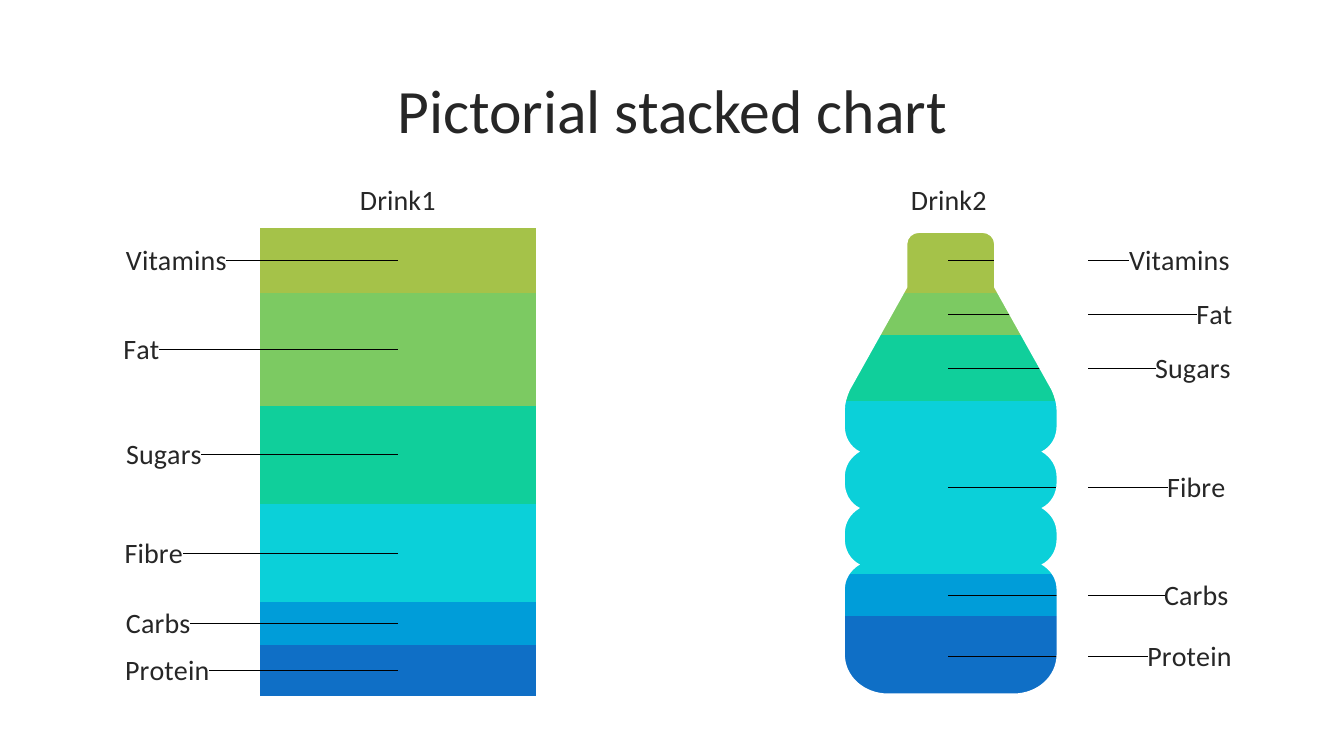
from dataclasses import dataclass

from pptx import Presentation
from pptx.chart.data import CategoryChartData
from pptx.dml.color import RGBColor
from pptx.enum.chart import XL_CHART_TYPE, XL_TICK_LABEL_POSITION, XL_TICK_MARK
from pptx.enum.text import MSO_ANCHOR, PP_ALIGN
from pptx.oxml import parse_xml
from pptx.oxml.ns import nsdecls, qn
from pptx.util import Inches, Pt


@dataclass(frozen=True)
class Theme:
    font: str = "Calibri"
    title_size: int = 44
    label_size: int = 20
    text: str = "262626"
    paper: str = "FFFFFF"
    cap: str = "094377"


theme = Theme()


def set_font(font, size):
    font.name = theme.font
    font.size = Pt(size)
    font.bold = False
    font.color.rgb = RGBColor.from_string(theme.text)


def write_text(tf, text, size=theme.label_size, align=PP_ALIGN.CENTER, spacing=1.0):
    tf.word_wrap = True
    tf.vertical_anchor = MSO_ANCHOR.MIDDLE
    p = tf.paragraphs[0]
    p.alignment = align
    p.line_spacing = spacing
    r = p.add_run()
    r.text = text
    set_font(r.font, size)


prs = Presentation()
prs.slide_width, prs.slide_height = Inches(13.33), Inches(7.5)
slide = prs.slides.add_slide(prs.slide_layouts[5])

# Title
title = slide.shapes.title
title.left, title.top = Inches(0.92), Inches(0.4)
title.width, title.height = Inches(11.5), Inches(1.45)
write_text(title.text_frame, "Pictorial stacked chart", size=theme.title_size, spacing=0.9)

# Nutrients from bottom to top: name, values, colour, sideways label shifts
nutrients = [
    ("Protein", (11, 17), "0F6FC6", (-0.204, 0.213)),
    ("Carbs", (9, 9), "009DD9", (-0.212, 0.219)),
    ("Fibre", (21, 37), "0BD0D9", (-0.216, 0.219)),
    ("Sugars", (21, 14), "10CF9B", (-0.207, 0.216)),
    ("Fat", (24, 9), "7CCA62", (-0.227, 0.235)),
    ("Vitamins", (14, 14), "A5C249", (-0.196, 0.204)),
    ("Series 7", (0, None), theme.cap, ()),
]

# Stacked chart
data = CategoryChartData()
data.categories = ["Drink1", "Drink2"]
for name, values, color, shifts in nutrients:
    data.add_series(name, values)
chart = slide.shapes.add_chart(
    XL_CHART_TYPE.COLUMN_STACKED_100,
    Inches(1.08), Inches(1.79), Inches(11.21), Inches(6.24), data,
).chart
chart.has_title = chart.has_legend = False
set_font(chart.font, theme.label_size)

plot = chart.plots[0]
plot.gap_width = plot.overlap = 100
plot.vary_by_categories = False

axis = chart.category_axis
axis.tick_label_position = XL_TICK_LABEL_POSITION.HIGH
axis.major_tick_mark = axis.minor_tick_mark = XL_TICK_MARK.NONE
axis.format.line.fill.background()
set_font(axis.tick_labels.font, theme.label_size)
chart.value_axis.visible = False
chart.value_axis.has_major_gridlines = False

# Series colours and labels beside the columns, without leader lines
for series, (name, values, color, shifts) in zip(plot.series, nutrients):
    series.format.fill.solid()
    series.format.fill.fore_color.rgb = RGBColor.from_string(color)
    if not shifts:
        series.format.line.color.rgb = RGBColor.from_string(color)
        series.format.line.width = Pt(0.75)
        continue
    labels = series.data_labels
    labels.show_series_name, labels.show_value = True, False
    set_font(labels.font, theme.label_size)
    for i in range(len(shifts)):
        set_font(series.points[i].data_label.font, theme.label_size)
    for label, shift in zip(series._element.xpath("c:dLbls/c:dLbl"), shifts):
        label.find(qn("c:showVal")).set("val", "0")
        label.find(qn("c:showSerName")).set("val", "1")
        label.insert(1, parse_xml(
            f'<c:layout {nsdecls("c")}><c:manualLayout>'
            f'<c:x val="{shift}"/><c:y val="0"/></c:manualLayout></c:layout>'))
    labels._element.append(parse_xml(
        f'<c:extLst {nsdecls("c")}><c:ext uri="{{CE6537A1-D6FC-4f65-9D91-7224C49458BB}}" '
        'xmlns:c15="http://schemas.microsoft.com/office/drawing/2012/chart">'
        '<c15:showLeaderLines val="0"/></c:ext></c:extLst>'))

# Plot area position
area = chart._chartSpace.chart.plotArea
for layout in area.findall(qn("c:layout")):
    area.remove(layout)
area.insert(0, parse_xml(
    f'<c:layout {nsdecls("c")}><c:manualLayout><c:layoutTarget val="inner"/>'
    '<c:xMode val="edge"/><c:yMode val="edge"/><c:x val="0.012"/><c:y val="0.075"/>'
    '<c:w val="0.975"/><c:h val="0.745"/></c:manualLayout></c:layout>'))

# Left side of the bottle: one point is a line, three points are a curve
center, wall, notch = 9.43, 8.38, 8.53
neck = (9.12, 2.31)
segments = [
    [(9.05, 2.31), (9, 2.36), (9, 2.42)],
    [(9, 2.85)],
    [(8.43, 3.87)],
    [(8.4, 3.94), (wall, 4), (wall, 4.07)],
    [(wall, 4.23)],
]
for y in (4.48, 5.04, 5.6):
    segments += [
        [(wall, y - 0.15), (8.43, y - 0.05), (notch, y)],
        [(8.43, y + 0.06), (wall, y + 0.15), (wall, y + 0.25)],
        [(wall, y + 0.31)],
    ]
segments[-1] = [(wall, 6.49)]
segments.append([(wall, 6.71), (8.57, 6.88), (8.81, 6.88)])

# Right side: the same segments mirrored and run backwards
starts = [neck] + [segment[-1] for segment in segments]
right_side = [[starts[-1]]]
for start, segment in zip(reversed(starts[:-1]), reversed(segments)):
    right_side.append(segment[-2::-1] + [start])
segments += [[(2 * center - x, y) for x, y in segment] for segment in right_side]

# White mask with a bottle-shaped opening, in hundredths of an inch
left, top, right, bottom = 803, 212, 1079, 750
segments = [[(round(x * 100), round(y * 100)) for x, y in segment] for segment in segments]
builder = slide.shapes.build_freeform(left, top, scale=Inches(0.01))
builder.add_line_segments([(right, top), (right, bottom), (left, bottom)], close=True)
builder.move_to(round(neck[0] * 100), round(neck[1] * 100))
builder.add_line_segments([segment[-1] for segment in segments], close=True)
sp = builder.convert_to_shape()
sp.shadow.inherit = False
sp.fill.solid()
sp.fill.fore_color.rgb = RGBColor.from_string(theme.paper)
sp.line.fill.background()

# Bend the curved segments of the opening
lines = sp._element.xpath(".//a:lnTo")[-len(segments):]
for line, segment in zip(lines, segments):
    if len(segment) == 3:
        points = "".join(f'<a:pt x="{x - left}" y="{y - top}"/>' for x, y in segment)
        line.getparent().replace(line, parse_xml(
            f'<a:cubicBezTo {nsdecls("a")}>{points}</a:cubicBezTo>'))

prs.save("out.pptx")
